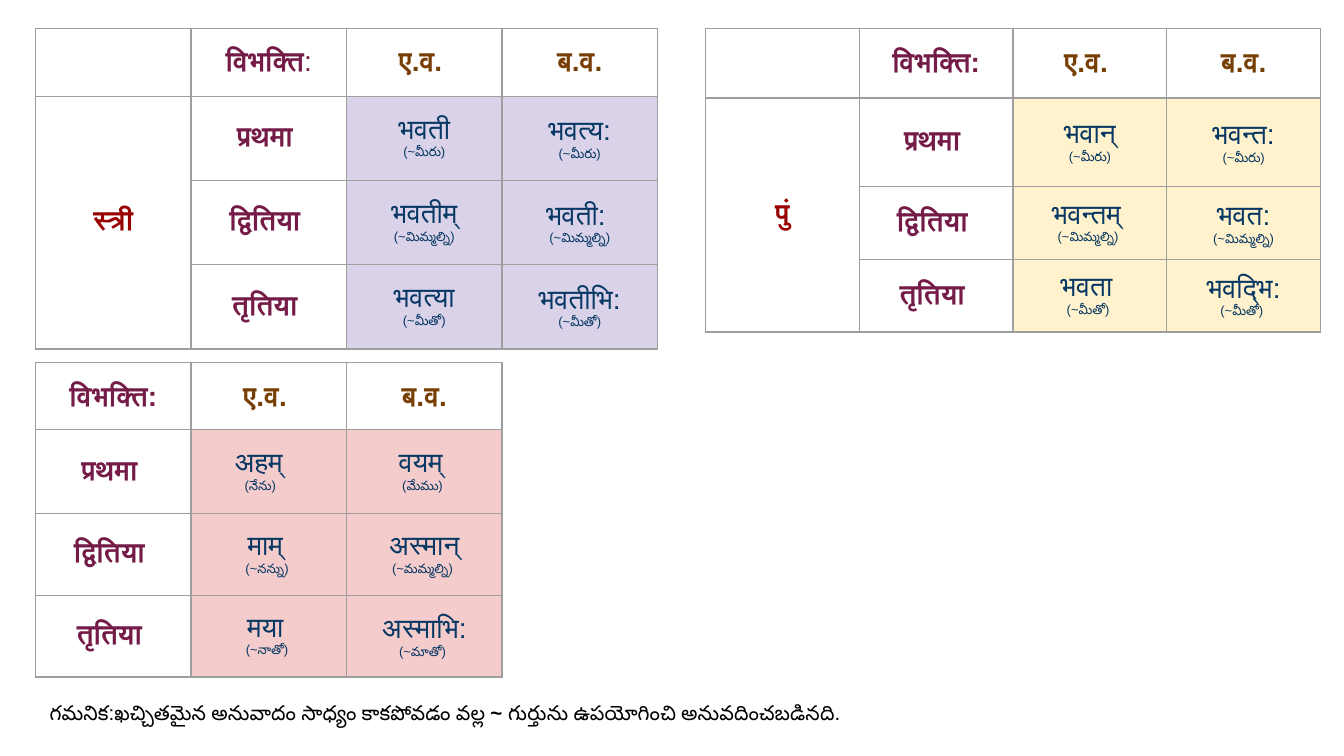
import pptx
import pptx.dml.color
import pptx.enum.text
import pptx.oxml
import pptx.oxml.ns
import pptx.util

PLUM, BROWN, RED, NAVY, BLACK = "741B47", "783F04", "990000", "073763", "000000"
BORDER = "9E9E9E"
LILAC, CREAM, PINK = "D9D2E9", "FFF2CC", "F4CCCC"
CASES = ["प्रथमा ", "द्वितिया ", "तृतिया "]
NUMBERS = ["ए.व. ", "ब.व."]
INSET = pptx.util.Inches(0.1)

presentation = pptx.Presentation()
presentation.slide_width = pptx.util.Inches(10)
presentation.slide_height = presentation.slide_width * 9 // 16
slide = presentation.slides.add_slide(presentation.slide_layouts[6])


def across(percent):
    return round(presentation.slide_width * percent / 100)


def down(percent):
    return round(presentation.slide_height * percent / 100)


def color(value):
    return pptx.dml.color.RGBColor.from_string(value)


def style(font, size, value, bold=False):
    font.name = "Arial"
    font.size = pptx.util.Pt(size)
    font.bold = bold
    font.color.rgb = color(value)


def frame_cell(cell, fill=None):
    """Set insets, anchor, borders and fill of a table cell."""
    cell.margin_left = cell.margin_right = INSET
    cell.margin_top = cell.margin_bottom = INSET
    cell.vertical_anchor = pptx.enum.text.MSO_ANCHOR.MIDDLE
    properties = cell._tc.get_or_add_tcPr()
    for side in ("lnL", "lnR", "lnT", "lnB"):
        properties.append(pptx.oxml.parse_xml(
            f'<a:{side} {pptx.oxml.ns.nsdecls("a")} w="9525"><a:solidFill>'
            f'<a:srgbClr val="{BORDER}"/></a:solidFill></a:{side}>'))
    if fill:
        cell.fill.solid()
        cell.fill.fore_color.rgb = color(fill)
    else:
        cell.fill.background()


def write_line(paragraph, text, size, value, bold=False):
    paragraph.alignment = pptx.enum.text.PP_ALIGN.CENTER
    style(paragraph.font, size, value, bold)
    paragraph.add_run().text = text


def write_heading(cell, text, value):
    write_line(cell.text_frame.paragraphs[0], text, 15, value, True)


def write_form(cell, word, gloss):
    write_line(cell.text_frame.paragraphs[0], word, 15, NAVY)
    write_line(cell.text_frame.add_paragraph(), gloss, 7, NAVY)


def add_declension(left, top, column, rows, fill, forms, gender=None):
    """Place a case table; a gender adds a merged column before the cases."""
    first = 1 if gender else 0
    count = first + 3
    table = slide.shapes.add_table(
        len(rows), count, across(left), down(top),
        across(column * count), down(sum(rows))).table
    table.first_row = table.horz_banding = False
    for table_column in table.columns:
        table_column.width = across(column)
    for table_row, height in zip(table.rows, rows):
        table_row.height = down(height)
    for r in range(len(rows)):
        for c in range(count):
            frame_cell(table.cell(r, c), fill if r > 0 and c > first else None)

    write_heading(table.cell(0, first), "विभक्ति:", PLUM)
    for c, number in enumerate(NUMBERS, first + 1):
        write_heading(table.cell(0, c), number, BROWN)
    for r, (case, pair) in enumerate(zip(CASES, forms), 1):
        write_heading(table.cell(r, first), case, PLUM)
        for c, (word, gloss) in enumerate(pair, first + 1):
            write_form(table.cell(r, c), word, gloss)
    if gender:
        table.cell(1, 0).merge(table.cell(3, 0))
        write_heading(table.cell(1, 0), gender, RED)
    return table


def add_note(left, top, width, height, parts):
    """Place a line of text from (text, bold) parts."""
    shape = slide.shapes.add_textbox(
        across(left), down(top), across(width), down(height))
    frame = shape.text_frame
    frame.word_wrap = True
    frame.auto_size = pptx.enum.text.MSO_AUTO_SIZE.SHAPE_TO_FIT_TEXT
    frame.margin_left = frame.margin_right = INSET
    frame.margin_top = frame.margin_bottom = INSET
    for text, bold in parts:
        run = frame.paragraphs[0].add_run()
        run.text = text
        style(run.font, 11, BLACK, bold)


add_declension(52.5, 3.73, 11.44, [9.25, 11.75, 7.3, 7.3], CREAM, [
    [("भवान्", "(~మీరు)"), ("भवन्त:", "(~మీరు)")],
    [("भवन्तम् ", "(~మిమ్మల్ని) "), ("भवत:", "(~మిమ్మల్ని)")],
    [("भवता ", "(~మీతో) "), ("भवद्भि:", "(~మీతో) ")],
], "पुं")

feminine = add_declension(2.65, 3.73, 11.57, [8.75, 11.15, 11.15, 11.15], LILAC, [
    [("भवती", "(~మీరు)"), ("भवत्य:", "(~మీరు)")],
    [("भवतीम्", "(~మిమ్మల్ని)"), ("भवती: ", "(~మిమ్మల్ని)")],
    [("भवत्या", "(~మీతో)"), ("भवतीभि:", "(~మీతో)")],
], "स्त्री")
heading = feminine.cell(0, 1).text_frame.paragraphs[0]
heading.runs[0].text = "विभक्ति"
colon = heading.add_run()
colon.text = ":"
colon.font.bold = False

first_person = add_declension(2.65, 48, 11.57, [8.85, 11.1, 10.8, 10.8], PINK, [
    [("अहम् ", "(నేను) "), ("वयम् ", "(మేము) ")],
    [("माम् ", "(~నన్ను) "), ("अस्मान्", "(~మమ్మల్ని) ")],
    [("मया ", "(~నాతో) "), ("अस्माभि:", "(~మాతో) ")],
])
singular = first_person.cell(1, 1).text_frame.paragraphs[0]
singular._p.get_or_add_pPr().set("marR", str(INSET))

add_note(2.7, 90.9, 72.1, 6.94, [
    ("గమనిక:ఖచ్చితమైన అనువాదం సాధ్యం కాకపోవడం వల్ల ", False),
    ("~", True),
    (" గుర్తును ఉపయోగించి అనువదించబడినది.", False),
])

presentation.save("out.pptx")
